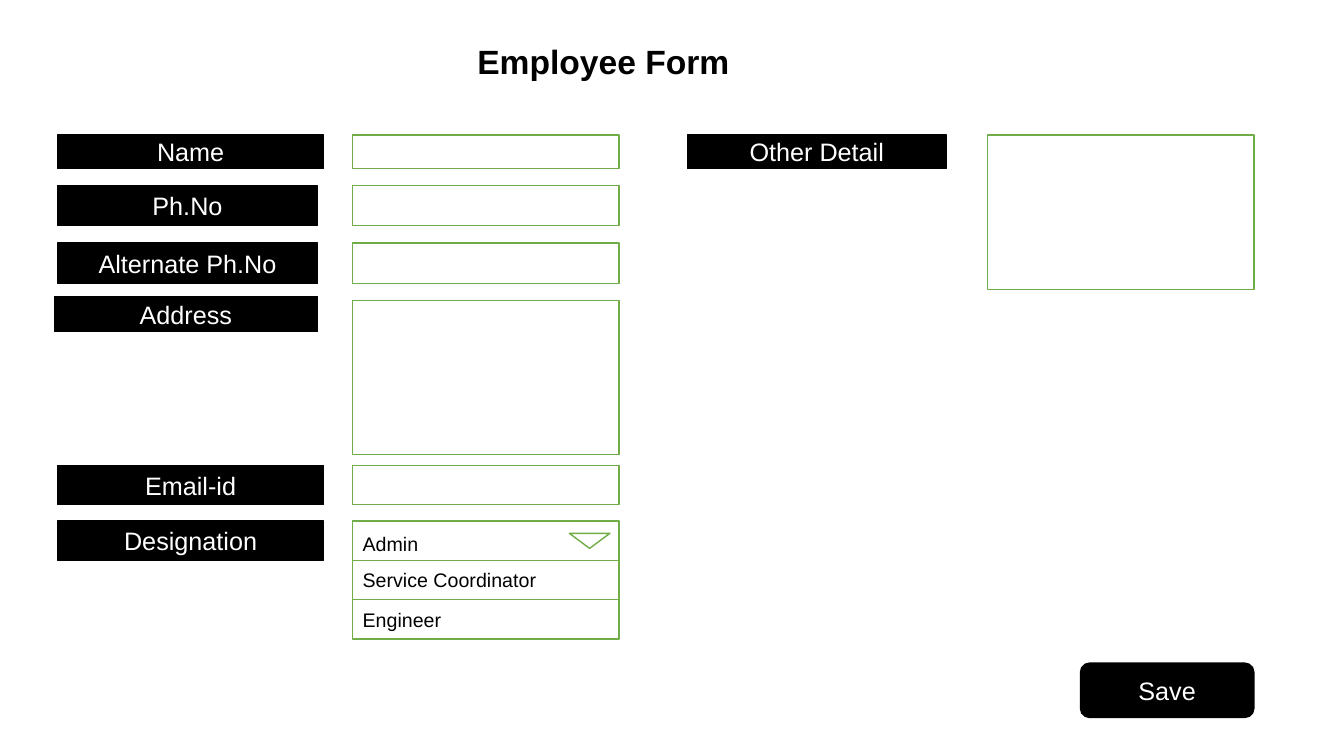
from pptx import Presentation, util as u
from pptx.dml import color
from pptx.enum import shapes, text

BLACK, WHITE, GREEN = "000000", "FFFFFF", "70AD47"
KINDS = shapes.MSO_SHAPE
LEFT, CENTER = text.PP_ALIGN.LEFT, text.PP_ALIGN.CENTER


def rgb(value):
    return color.RGBColor.from_string(value)


def add_box(box, fill, line, words="", size=18, align=CENTER, kind=KINDS.RECTANGLE):
    """Draw one form element; box is left, top, width, height in cm."""
    shape = slide.shapes.add_shape(kind, *[u.Cm(length) for length in box])
    shape.shadow.inherit = False
    shape.fill.solid()
    shape.fill.fore_color.rgb = rgb(fill)
    shape.line.color.rgb = rgb(line)
    shape.line.width = u.Pt(1)
    if words:
        shape.text_frame.vertical_anchor = text.MSO_ANCHOR.MIDDLE
        paragraph = shape.text_frame.paragraphs[0]
        paragraph.alignment = align
        run = paragraph.add_run()
        run.text = words
        run.font.name = "Arial"
        run.font.size = u.Pt(size)
        run.font.color.rgb = rgb(WHITE if fill == BLACK else BLACK)
    return shape


presentation = Presentation()
presentation.slide_width = u.Cm(33.87)
presentation.slide_height = u.Cm(19.05)
slide = presentation.slides.add_slide(presentation.slide_layouts[5])

# Title
title = slide.shapes.title
title.left, title.top = u.Cm(5.77), u.Cm(0.91)
title.width, title.height = u.Cm(18.87), u.Cm(1.27)
title.text_frame.vertical_anchor = text.MSO_ANCHOR.MIDDLE
heading = title.text_frame.paragraphs[0]
heading.alignment = CENTER
run = heading.add_run()
run.text = "Employee Form"
run.font.name = "Arial"
run.font.size = u.Pt(24)
run.font.bold = True
run.font.color.rgb = rgb(BLACK)

# Labels: words, left, top, width, height
labels = [
    ("Name", 1.45, 3.4, 6.71, 0.85),
    ("Ph.No", 1.45, 4.67, 6.55, 1.02),
    ("Alternate Ph.No", 1.45, 6.12, 6.55, 1.02),
    ("Address", 1.37, 7.47, 6.63, 0.89),
    ("Email-id", 1.45, 11.73, 6.71, 0.99),
    ("Designation", 1.45, 13.13, 6.71, 0.99),
    ("Other Detail", 17.32, 3.4, 6.53, 0.85),
]
for words, *box in labels:
    add_box(box, BLACK, BLACK, words)

# Input fields: left, top, height
FIELD_LEFT, FIELD_WIDTH = 8.89, 6.71
fields = [
    (FIELD_LEFT, 3.4, 0.85),
    (FIELD_LEFT, 4.67, 1.02),
    (FIELD_LEFT, 6.12, 1.02),
    (FIELD_LEFT, 7.57, 3.89),
    (FIELD_LEFT, 11.73, 0.99),
    (24.89, 3.4, 3.89),
]
for left, top, height in fields:
    add_box((left, top, FIELD_WIDTH, height), WHITE, GREEN)

# Designation drop-down
OPTION_HEIGHT = 0.99
for index, words in enumerate(["Admin", "Service Coordinator", "Engineer"]):
    box = (FIELD_LEFT, 13.13 + index * OPTION_HEIGHT, FIELD_WIDTH, OPTION_HEIGHT)
    option = add_box(box, WHITE, GREEN, words, 14, LEFT)
    if index == 0:
        option.text_frame.margin_top = u.Cm(0.28)
add_box((14.35, 13.44, 1.02, 0.38), WHITE, GREEN, kind=KINDS.FLOWCHART_MERGE)

# Save button
add_box((27.23, 16.71, 4.37, 1.37), BLACK, BLACK, "Save", kind=KINDS.ROUNDED_RECTANGLE)

presentation.save("out.pptx")
